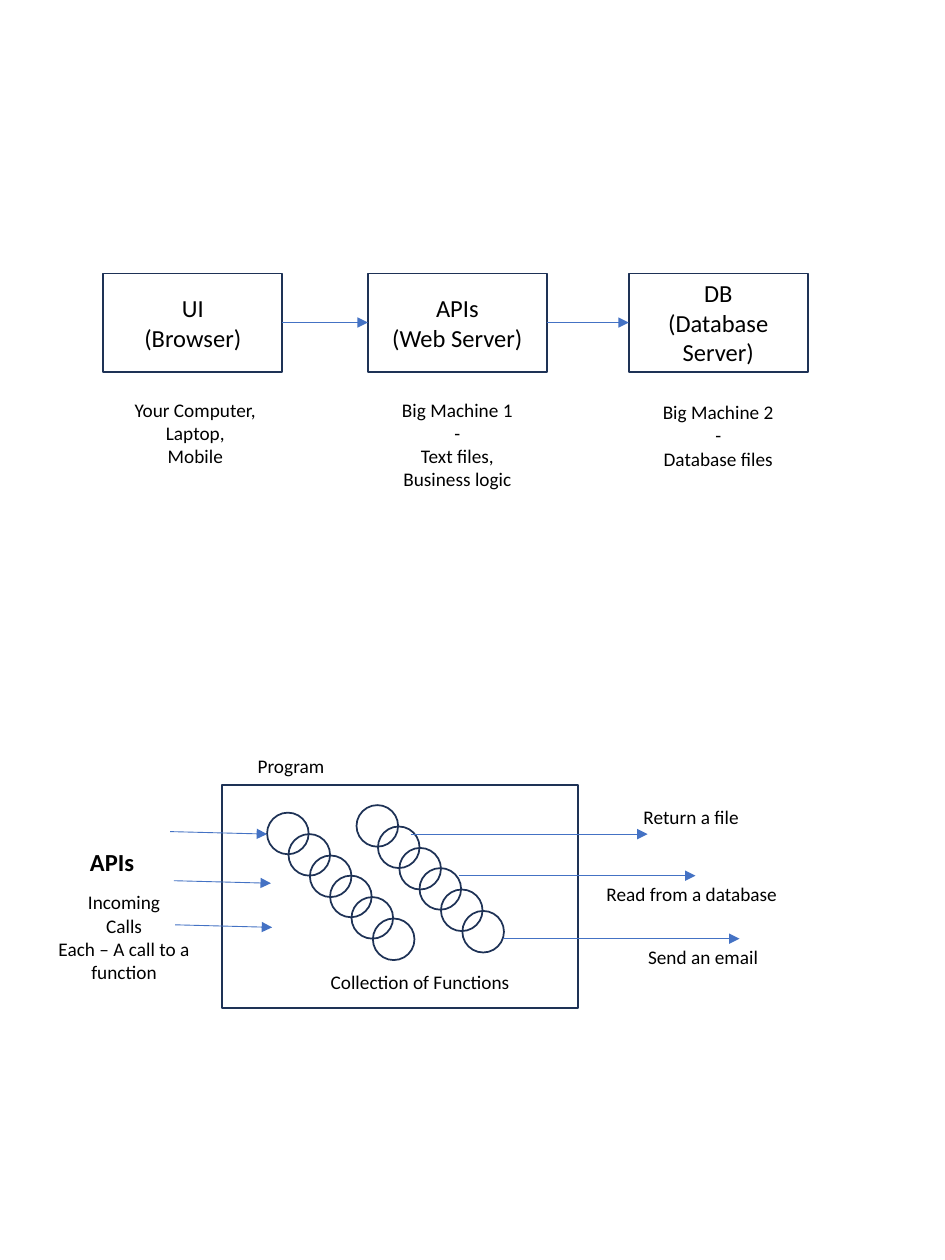
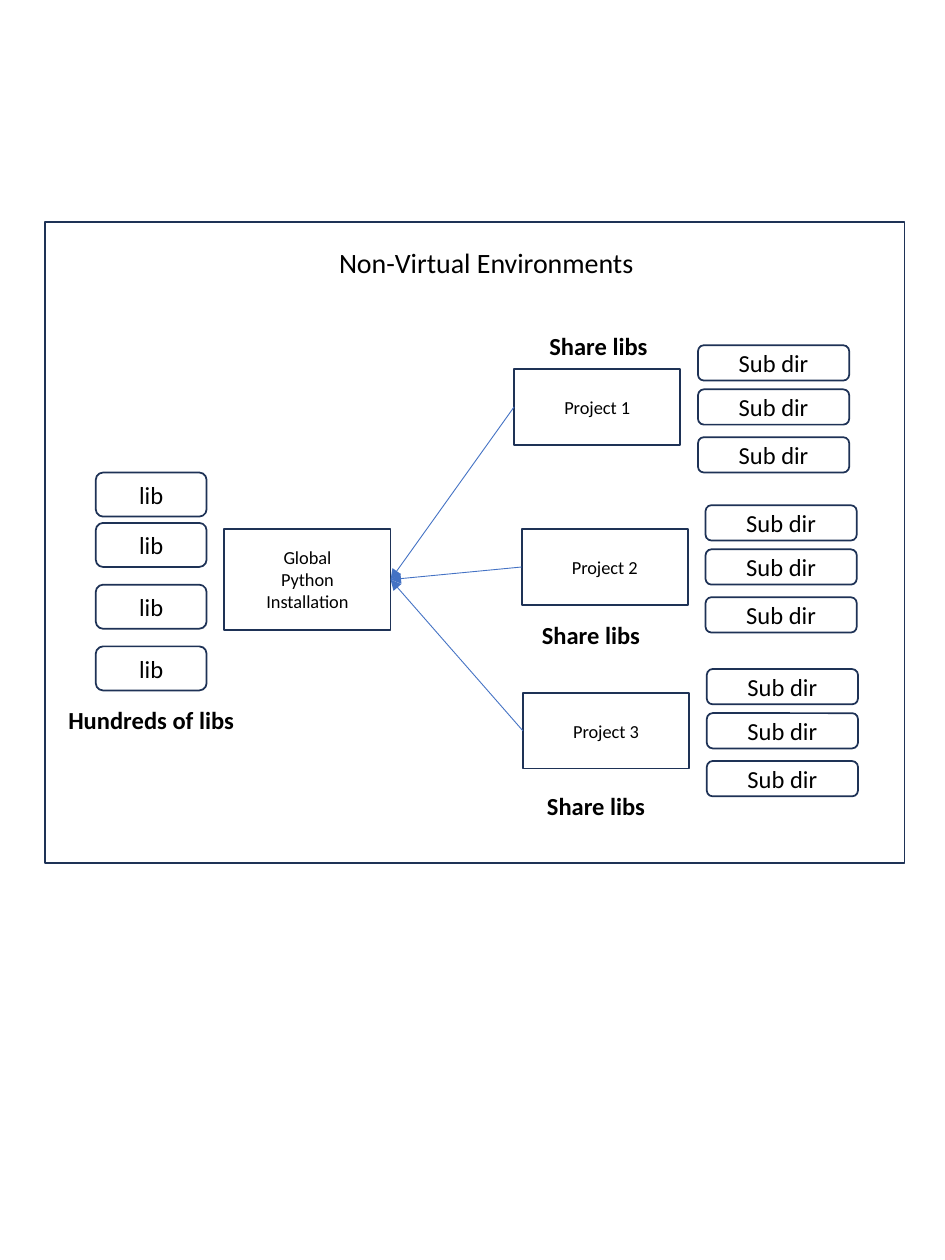
from dataclasses import dataclass

from pptx import Presentation
from pptx import util as u
from pptx.dml.color import RGBColor
from pptx.enum import shapes, text
from pptx.oxml.ns import qn
from lxml import etree

PX_PER_INCH = 100


def px(length):
    return u.Emu(length * 914400 // PX_PER_INCH)


@dataclass(frozen=True)
class Theme:
    font: str = "Calibri"
    ink: RGBColor = RGBColor(0x00, 0x00, 0x00)
    outline: RGBColor = RGBColor(0x1E, 0x32, 0x56)
    arrow: RGBColor = RGBColor(0x44, 0x72, 0xC4)
    title: float = 16
    heading: float = 14
    label: float = 11
    small: float = 10.5
    outline_width: float = 1
    arrow_width: float = 0.5


class Sketch:
    """Draws diagram elements on the current page in one style."""

    def __init__(self, deck, theme):
        self.deck = deck
        self.theme = theme
        self.page = None

    def new_page(self):
        self.page = self.deck.slides.add_slide(self.deck.slide_layouts[6])

    def set_words(self, frame, words, size, bold=False):
        frame.word_wrap = True
        frame.text = words
        for para in frame.paragraphs:
            para.alignment = text.PP_ALIGN.CENTER
            for span in para.runs:
                span.font.name = self.theme.font
                span.font.size = u.Pt(size)
                span.font.bold = bold
                span.font.color.rgb = self.theme.ink

    def outline(self, kind, left, top, width, height, words="", size=None):
        shape = self.page.shapes.add_shape(
            kind, px(left), px(top), px(width), px(height))
        shape.shadow.inherit = False
        shape.fill.background()
        shape.line.color.rgb = self.theme.outline
        shape.line.width = u.Pt(self.theme.outline_width)
        if words:
            shape.text_frame.vertical_anchor = text.MSO_ANCHOR.MIDDLE
            self.set_words(shape.text_frame, words, size or self.theme.heading)

    def box(self, *place, **content):
        self.outline(shapes.MSO_SHAPE.RECTANGLE, *place, **content)

    def rounded(self, *place, **content):
        self.outline(shapes.MSO_SHAPE.ROUNDED_RECTANGLE, *place, **content)

    def circle(self, left, top, diameter):
        self.outline(shapes.MSO_SHAPE.OVAL, left, top, diameter, diameter)

    def label(self, left, top, width, height, words, size=None, bold=False):
        box = self.page.shapes.add_textbox(
            px(left), px(top), px(width), px(height))
        self.set_words(box.text_frame, words, size or self.theme.label, bold)
        box.text_frame.auto_size = text.MSO_AUTO_SIZE.SHAPE_TO_FIT_TEXT

    def heading(self, left, top, width, words):
        self.label(left, top, width, 34, words, self.theme.heading, bold=True)

    def arrow(self, x1, y1, x2, y2):
        connector = self.page.shapes.add_connector(
            shapes.MSO_CONNECTOR.STRAIGHT, px(x1), px(y1), px(x2), px(y2))
        connector.line.color.rgb = self.theme.arrow
        connector.line.width = u.Pt(self.theme.arrow_width)
        properties = connector.element.spPr
        etree.SubElement(properties.find(qn("a:ln")), qn("a:tailEnd"),
                         type="triangle")
        etree.SubElement(properties, qn("a:effectLst"))


def draw_web_tiers(sketch):
    # Three tiers, each with a note on where it runs
    tier_width = 142
    tiers = [
        (82, "UI\n(Browser)", 84, 311, 66, "Your Computer,\nLaptop,\nMobile"),
        (292, "APIs\n(Web Server)", 292, 311, 84,
         "Big Machine 1\n-\nText files,\nBusiness logic"),
        (499, "DB\n(Database Server)", 499, 313, 66,
         "Big Machine 2\n-\nDatabase files"),
    ]
    for left, name, note_left, note_top, note_height, note in tiers:
        sketch.box(left, 217, tier_width, 78, words=name)
        sketch.label(note_left, note_top, tier_width, note_height, note)
    for tier, following in zip(tiers, tiers[1:]):
        sketch.arrow(tier[0] + tier_width, 256, following[0], 256)


def draw_program(sketch):
    # Program frame with two diagonal chains of functions
    sketch.box(176, 623, 283, 177)
    chain_length, chain_span = 6, 84
    for left, top in [(212, 645), (283, 639)]:
        for link in range(chain_length):
            shift = round(chain_span * link / (chain_length - 1))
            sketch.circle(left + shift, top + shift, 33)
    sketch.label(176, 594, 110, 29, "Program")
    sketch.label(235, 765, 197, 29, "Collection of Functions")

    # Incoming calls
    for left, top in [(135, 660), (138, 699), (139, 734)]:
        sketch.arrow(left, top, left + 77, top + 2)
    sketch.label(10, 702, 177, 84,
                 "Incoming\nCalls\nEach – A call to a function")
    sketch.heading(53, 667, 72, "APIs")

    # Results
    for left, top in [(326, 662), (364, 695), (399, 745)]:
        sketch.arrow(left, top, left + 188, top)
    sketch.label(493, 634, 111, 29, "Return a file")
    sketch.label(458, 695, 182, 29, "Read from a database")
    sketch.label(467, 745, 182, 29, "Send an email")


def draw_environments(sketch):
    # Global installation and its libraries
    sketch.box(178, 420, 132, 80, words="Global\nPython\nInstallation",
               size=sketch.theme.small)
    for top in (375, 415, 464, 513):
        sketch.rounded(76, top, 88, 35, words="lib")
    sketch.heading(36, 555, 168, "Hundreds of libs")

    # Projects with their directories, all pointing at the installation
    projects = [
        (408, 293, 391, 258),
        (414, 420, 385, 487),
        (415, 550, 389, 623),
    ]
    for number, (left, top, share_left, share_top) in enumerate(projects, 1):
        sketch.box(left, top, 132, 60, words=f"Project {number}",
                   size=sketch.theme.small)
        for drop in (-19, 16, 54):
            sketch.rounded(left + 146, top + drop, 120, 28, words="Sub dir")
        sketch.arrow(left, top + 30, 310, 460)
        sketch.heading(share_left, share_top, 168, "Share libs")

    # Title and frame
    sketch.label(133, 190, 506, 37, "Non-Virtual Environments",
                 sketch.theme.title)
    sketch.box(36, 176, 682, 509)


def main():
    deck = Presentation()
    deck.slide_width, deck.slide_height = px(750), px(1000)
    sketch = Sketch(deck, Theme())

    sketch.new_page()
    draw_web_tiers(sketch)
    draw_program(sketch)

    sketch.new_page()
    draw_environments(sketch)

    deck.save("out.pptx")


if __name__ == "__main__":
    main()
